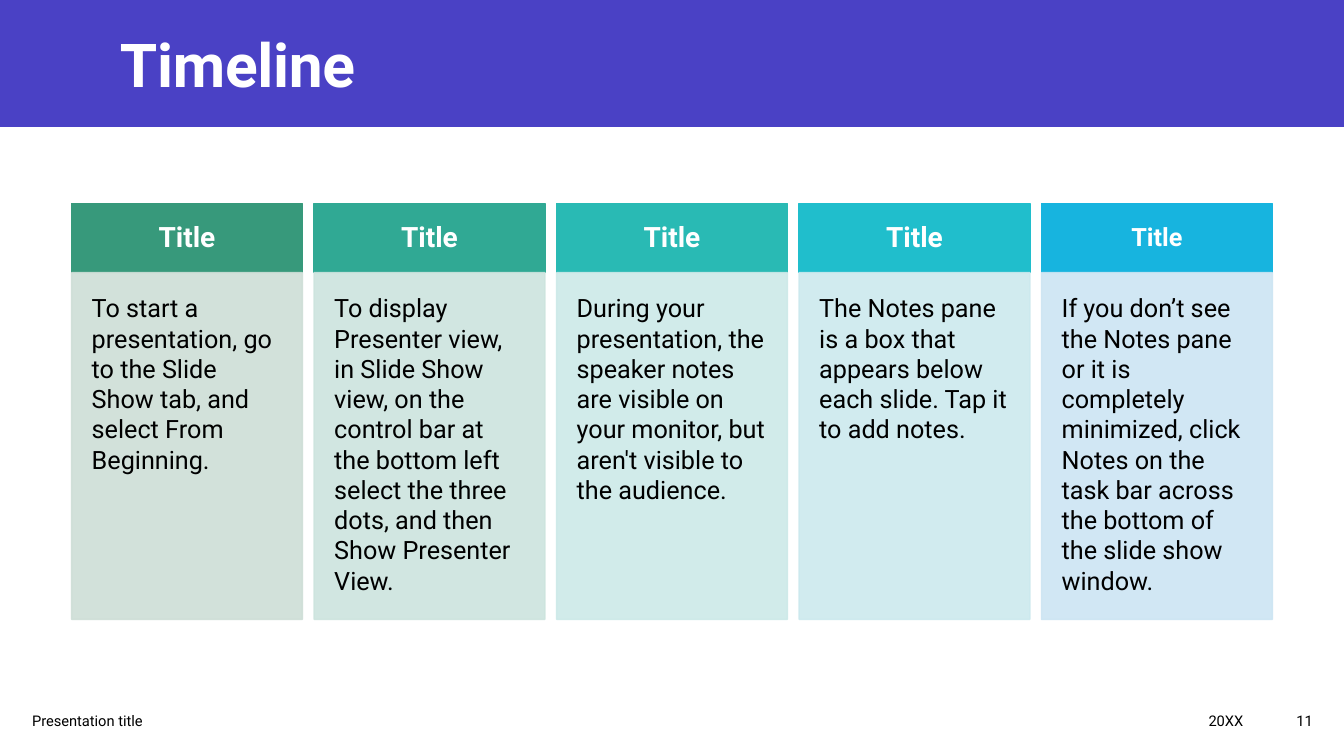
from lxml.etree import SubElement
from pptx import Presentation
from pptx.dml.color import RGBColor as RGB
from pptx.enum.shapes import MSO_SHAPE as SHAPE
from pptx.enum.text import MSO_ANCHOR as ANCHOR, MSO_AUTO_SIZE as FIT, PP_ALIGN as ALIGN
from pptx.oxml.ns import qn
from pptx.util import Inches, Pt

# Colours
WHITE = RGB(0xFF, 0xFF, 0xFF)
BLACK = RGB(0x00, 0x00, 0x00)
INDIGO = RGB(0x4A, 0x41, 0xC5)

# Grid, in inches
WIDE, HIGH = 13.33, 7.5
LEFT, STEP, COL = 0.71, 2.405, 2.29
TOP, HEAD, BODY = 2.02, 0.685, 3.44
FOOT, ROW = 6.95, 0.4

# Head colour, body colour, head size, body text
STAGES = [
    (RGB(0x37, 0x99, 0x7B), RGB(0xCE, 0xDE, 0xD7), 20,
     "To start a presentation, go to the Slide Show tab, and select From Beginning."),
    (RGB(0x30, 0xA9, 0x94), RGB(0xCD, 0xE4, 0xDE), 20,
     "To display Presenter view, in Slide Show view, on the control bar at the "
     "bottom left select the three dots, and then Show Presenter View."),
    (RGB(0x29, 0xBA, 0xB4), RGB(0xCC, 0xE9, 0xE8), 20,
     "During your presentation, the speaker notes are visible on your monitor, "
     "but aren't visible to the audience."),
    (RGB(0x20, 0xBE, 0xCC), RGB(0xCC, 0xE9, 0xEE), 20,
     "The Notes pane is a box that appears below each slide. Tap it to add notes."),
    (RGB(0x17, 0xB4, 0xDF), RGB(0xCC, 0xE5, 0xF3), 18,
     "If you don’t see the Notes pane or it is completely minimized, click Notes "
     "on the task bar across the bottom of the slide show window."),
]

# Text, left, width, alignment
NOTES = [
    ("Presentation title", 0.22, 5.29, ALIGN.LEFT),
    ("20XX", 7.67, 4.76, ALIGN.RIGHT),
    ("11", 12.43, 0.69, ALIGN.RIGHT),
]


def apply(obj, vals):
    for key, val in vals.items():
        setattr(obj, key, val)


def write(shape, text, size, color=BLACK, bold=False, align=ALIGN.LEFT,
          anchor=ANCHOR.MIDDLE, pad=0.1, lead=1.0):
    frame = shape.text_frame
    frame.text = text
    pads = {f"margin_{side}": Inches(pad) for side in ("left", "right", "top", "bottom")}
    apply(frame, {"word_wrap": True, "auto_size": FIT.NONE,
                  "vertical_anchor": anchor, **pads})
    para = frame.paragraphs[0]
    apply(para, {"alignment": align, "line_spacing": lead})
    font = para.runs[0].font
    apply(font, {"name": "Roboto", "size": Pt(size), "bold": bold})
    font.color.rgb = color


def add_box(slide, area, color, alpha=100):
    box = slide.shapes.add_shape(SHAPE.RECTANGLE, *map(Inches, area))
    box.shadow.inherit = False
    box.line.width = Pt(1)
    for fill in (box.fill, box.line.fill):
        fill.solid()
        fill.fore_color.rgb = color
    if alpha < 100:
        for tint in box._element.spPr.iter(qn("a:srgbClr")):
            SubElement(tint, qn("a:alpha")).set("val", str(alpha * 1000))
    return box


def add_title(slide, text):
    band = add_box(slide, (0, 0, WIDE, 1.26), INDIGO)
    band.line.fill.background()
    slide.shapes._spTree.insert(2, band._element)  # behind the title
    title = slide.shapes.title
    apply(title, {"left": Inches(1.09), "top": Inches(0.21),
                  "width": Inches(10.96), "height": Inches(0.83)})
    write(title, text, 43.2, WHITE, bold=True)
    run = title.text_frame.paragraphs[0].runs[0]
    run.font._element.set("spc", "-20")


def add_stage(slide, col, head, tint, size, text):
    left = LEFT + col * STEP
    box = add_box(slide, (left, TOP, COL, HEAD), head)
    write(box, "Title", size, WHITE, True, ALIGN.CENTER, pad=0.18, lead=0.9)
    box = add_box(slide, (left, TOP + HEAD, COL, BODY), tint, alpha=90)
    write(box, text, 18, anchor=ANCHOR.TOP, pad=0.2)


def add_note(slide, text, left, width, align):
    area = map(Inches, (left, FOOT, width, ROW))
    write(slide.shapes.add_textbox(*area), text, 10.5, align=align)


def main():
    deck = Presentation()
    apply(deck, {"slide_width": Inches(WIDE), "slide_height": Inches(HIGH)})
    slide = deck.slides.add_slide(deck.slide_layouts[5])
    add_title(slide, "Timeline")
    for col, stage in enumerate(STAGES):
        add_stage(slide, col, *stage)
    for note in NOTES:
        add_note(slide, *note)
    deck.save("out.pptx")


if __name__ == "__main__":
    main()
